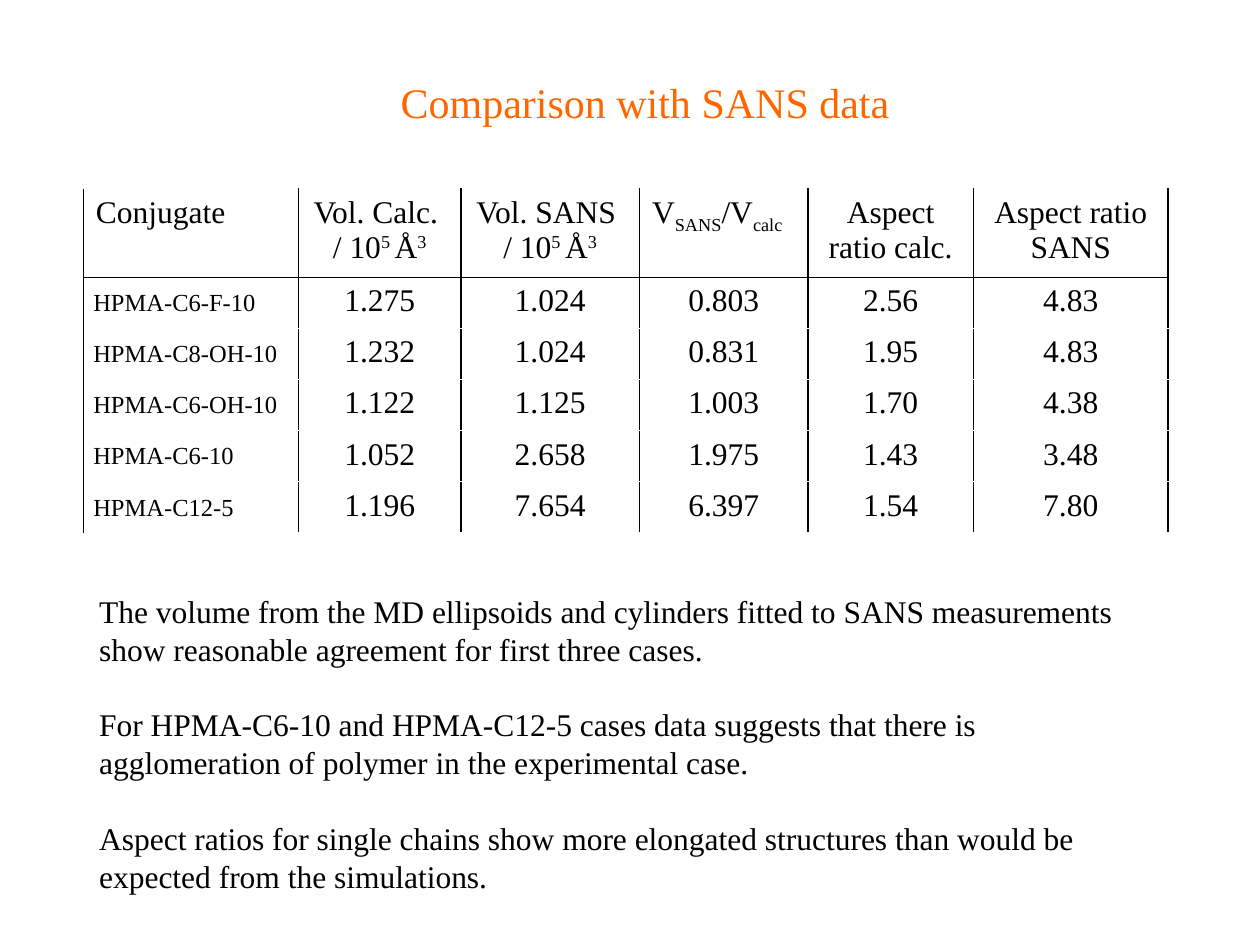
import pptx
import pptx.dml.color
import pptx.enum.text
import pptx.oxml
import pptx.oxml.ns
import pptx.util
from pptx.util import Cm, Pt

BLACK = pptx.dml.color.RGBColor(0x00, 0x00, 0x00)
WHITE = pptx.dml.color.RGBColor(0xFF, 0xFF, 0xFF)
ORANGE = pptx.dml.color.RGBColor(0xFF, 0x66, 0x00)
FONT = "Times New Roman"
CENTER = pptx.enum.text.PP_ALIGN.CENTER
LEFT = pptx.enum.text.PP_ALIGN.LEFT
MIDDLE = pptx.enum.text.MSO_ANCHOR.MIDDLE
SUPER, SUB = 30000, -25000

TITLE = "Comparison with SANS data"
UNIT = [("5 ", SUPER), ("Å", 0), ("3", SUPER)]
# Each heading: alignment and (text, baseline shift) spans
HEADINGS = [
    (LEFT, [("Conjugate", 0)]),
    (CENTER, [("Vol. Calc. \n/ 10", 0)] + UNIT),
    (CENTER, [("Vol. SANS \n/ 10", 0)] + UNIT),
    (LEFT, [("V", 0), ("SANS", SUB), ("/V", 0), ("calc", SUB)]),
    (CENTER, [("Aspect ratio calc.", 0)]),
    (CENTER, [("Aspect ratio SANS", 0)]),
]
ROWS = [
    ("HPMA-C6-F-10", "1.275", "1.024", "0.803", "2.56", "4.83"),
    ("HPMA-C8-OH-10", "1.232", "1.024", "0.831", "1.95", "4.83"),
    ("HPMA-C6-OH-10", "1.122", "1.125", "1.003", "1.70", "4.38"),
    ("HPMA-C6-10", "1.052", "2.658", "1.975", "1.43", "3.48"),
    ("HPMA-C12-5", "1.196", "7.654", "6.397", "1.54", "7.80"),
]
CONCLUSIONS = [
    "The volume from the MD ellipsoids and cylinders fitted to SANS "
    "measurements show reasonable agreement for first three cases.",
    "For HPMA-C6-10 and HPMA-C12-5 cases data suggests that there is "
    "agglomeration of polymer in the experimental case.",
    "Aspect ratios for single chains show more elongated structures than "
    "would be expected from the simulations.",
]
COLUMN_WIDTHS = [Cm(w) for w in (4.34, 3.27, 3.6, 3.4, 3.33, 3.93)]
HEADING_HEIGHT, ROW_HEIGHT = Cm(1.78), Cm(1.03)


def write(paragraph, spans, size=18, color=BLACK, align=LEFT):
    """Fill a paragraph from text or (text, baseline) spans; \\n breaks a line."""
    paragraph.alignment = align
    if isinstance(spans, str):
        spans = [(spans, 0)]
    for text, baseline in spans:
        for number, line in enumerate(text.split("\n")):
            if number:
                paragraph.add_line_break()
            span = paragraph.add_run()
            span.text = line
            span.font.name = FONT
            span.font.size = Pt(size)
            span.font.color.rgb = color
            if baseline:
                span.font._element.set("baseline", str(baseline))


def add_text(page, place, paragraphs, gap=0, line_spacing=None, **style):
    box = page.shapes.add_textbox(*place)
    frame = box.text_frame
    frame.word_wrap = True
    for number, text in enumerate(paragraphs):
        paragraph = frame.add_paragraph() if number else frame.paragraphs[0]
        if number and gap:
            paragraph.space_before = Pt(gap)
        if line_spacing:
            paragraph.line_spacing = Pt(line_spacing)
        write(paragraph, text, **style)


def set_borders(cell, **colors):
    properties = cell._tc.get_or_add_tcPr()
    for position, side in enumerate("LRTB"):
        color = colors.get(side)
        paint = (f'<a:solidFill><a:srgbClr val="{color}"/></a:solidFill>'
                 if color is not None else "<a:noFill/>")
        line = pptx.oxml.parse_xml(
            f'<a:ln{side} {pptx.oxml.ns.nsdecls("a")} w="12700">{paint}</a:ln{side}>')
        properties.insert(position, line)


def add_results(page):
    height = HEADING_HEIGHT + ROW_HEIGHT * len(ROWS)
    table = page.shapes.add_table(
        len(ROWS) + 1, len(HEADINGS), Cm(1.68), Cm(3.81),
        sum(COLUMN_WIDTHS), height).table
    table.first_row = table.horz_banding = False
    for column, width in zip(table.columns, COLUMN_WIDTHS):
        column.width = width
    for number, row in enumerate(table.rows):
        row.height = ROW_HEIGHT if number else HEADING_HEIGHT

    for r, values in enumerate([HEADINGS] + ROWS):
        for c, value in enumerate(values):
            cell = table.cell(r, c)
            cell.fill.background()
            first = c == 0
            edge = None if first else WHITE
            set_borders(cell, L=BLACK, R=BLACK,
                        T=BLACK if r == 1 else edge,
                        B=BLACK if r == 0 else edge)
            paragraph = cell.text_frame.paragraphs[0]
            if r == 0:
                align, spans = value
                write(paragraph, spans, align=align)
            elif first:
                cell.vertical_anchor = MIDDLE
                cell.margin_left = Cm(0.2)
                cell.margin_top = cell.margin_right = Cm(0.02)
                cell.margin_bottom = 0
                write(paragraph, value, size=14)
            else:
                write(paragraph, value, align=CENTER)


def main():
    deck = pptx.Presentation()
    deck.slide_width, deck.slide_height = Cm(25.4), Cm(19.05)
    page = deck.slides.add_slide(deck.slide_layouts[6])
    add_results(page)
    add_text(page, (Cm(4.47), Cm(1.42), Cm(17.07), Cm(1.3)), [TITLE],
             size=24, color=ORANGE, align=CENTER)
    add_text(page, (Cm(1.75), Cm(11.81), Cm(21.87), Cm(6.4)), CONCLUSIONS,
             gap=21.6, line_spacing=21.6)
    deck.save("out.pptx")


if __name__ == "__main__":
    main()
